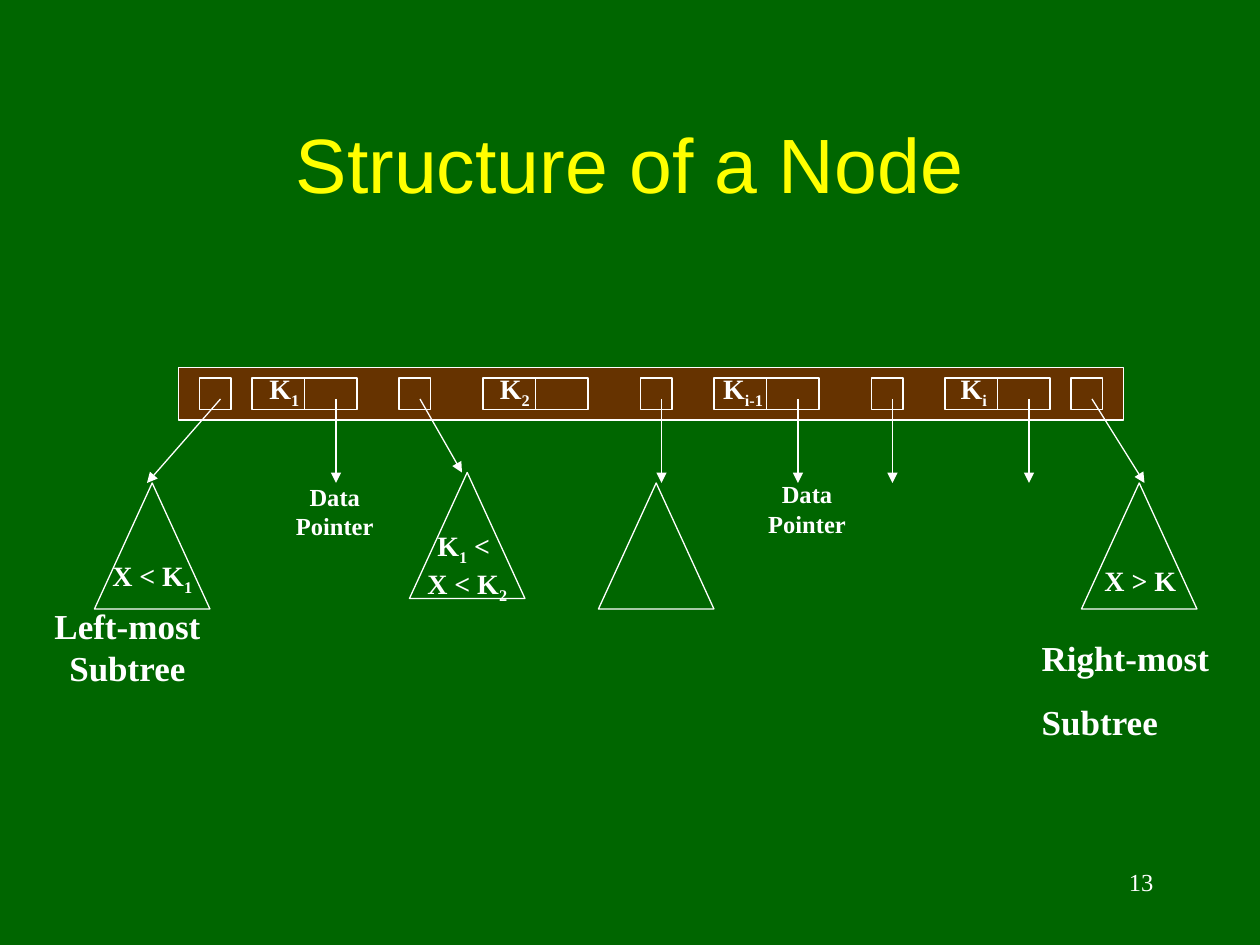
from dataclasses import dataclass

from lxml import etree
from pptx import Presentation
from pptx.dml.color import RGBColor
from pptx.enum.shapes import MSO_CONNECTOR, MSO_SHAPE
from pptx.enum.text import MSO_ANCHOR, MSO_AUTO_SIZE, PP_ALIGN
from pptx.oxml.ns import qn
from pptx.util import Cm, Pt

RECTANGLE = MSO_SHAPE.RECTANGLE
TRIANGLE = MSO_SHAPE.FLOWCHART_EXTRACT
STRAIGHT = MSO_CONNECTOR.STRAIGHT
TOP, MIDDLE = MSO_ANCHOR.TOP, MSO_ANCHOR.MIDDLE
LEFT, CENTER, RIGHT = PP_ALIGN.LEFT, PP_ALIGN.CENTER, PP_ALIGN.RIGHT
FIT_SHAPE = MSO_AUTO_SIZE.SHAPE_TO_FIT_TEXT


@dataclass(frozen=True)
class Theme:
    """Colours, fonts and sizes of the slide."""
    background: RGBColor = RGBColor(0x00, 0x66, 0x00)
    node: RGBColor = RGBColor(0x66, 0x33, 0x00)
    title: RGBColor = RGBColor(0xFF, 0xFF, 0x00)
    ink: RGBColor = RGBColor(0xFF, 0xFF, 0xFF)
    title_font: str = "Arial"
    body_font: str = "Times New Roman"
    title_size: int = 44
    subtree_size: int = 20
    key_size: int = 16
    small_size: int = 14
    line: float = 0.74


THEME = Theme()

# The diagram sits on a grid of 12 steps to the inch.
CELL_LEFTS = range(24, 91, 22)
CELL_TOP, CELL_WIDTH, CELL_HEIGHT = 36, 10, 3
POINTER_LEFTS = (19, 38, 61, 83, 102)
ARROW_TOP = 38
ARROWS = ((21, 14, 46), (32, 32, 46), (40, 44, 45), (63, 63, 46),
          (76, 76, 46), (85, 85, 46), (98, 98, 46), (104, 109, 46))
# Left, top and lines of text; underscores enclose a subscript.
SUBTREES = ((9, 46, ["X < K_1_"]), (39, 45, ["K_1_ < ", "X < K_2_"]),
            (57, 46, []), (103, 46, []))
# Left and width in centimetres.
KEYS = (("K_1_", 5.13, 1.2), ("K_2_", 9.78, 1.2),
        ("K_i-1_", 14.28, 1.4), ("K_i_", 19.07, 1.12))
DATA_POINTERS = ((5.65, 9.58), (15.17, 9.53))


def grid(steps):
    """Return the length of a number of grid steps."""
    return Cm(steps * 2.54 / 12)


def write(frame, lines, size, color=THEME.ink, font=THEME.body_font, bold=True,
          align=CENTER, anchor=MIDDLE, wrap=False, before=0):
    """Fill a text frame, one paragraph for each line."""
    frame.word_wrap = wrap
    frame.vertical_anchor = anchor
    for index, line in enumerate(lines):
        para = frame.add_paragraph() if index else frame.paragraphs[0]
        para.alignment = align
        para.space_before = Pt(before)
        para.font.size = Pt(size)
        para.font.name = font
        para.font.bold = bold
        para.font.color.rgb = color
        for part, words in enumerate(line.split("_")):
            if words:
                span = para.add_run()
                span.text = words
                if part % 2:
                    span.font._element.set("baseline", "-25000")


def add_label(page, left, top, width, height, lines, size, fit=True, **style):
    """Add a text box placed in centimetres."""
    box = page.shapes.add_textbox(Cm(left), Cm(top), Cm(width), Cm(height))
    write(box.text_frame, lines, size, **style)
    if fit:
        box.text_frame.auto_size = FIT_SHAPE


def add_outline(page, kind, left, top, width, height, fill=None):
    """Add an outlined shape on the grid, with an optional fill."""
    shape = page.shapes.add_shape(kind, grid(left), grid(top),
                                  grid(width), grid(height))
    shape.shadow.inherit = False
    if fill is None:
        shape.fill.background()
    else:
        shape.fill.solid()
        shape.fill.fore_color.rgb = fill
    shape.line.color.rgb = THEME.ink
    shape.line.width = Pt(THEME.line)
    return shape


def add_line(page, start_x, start_y, end_x, end_y, arrow=False):
    """Add a straight line on the grid, with an optional arrowhead."""
    line = page.shapes.add_connector(STRAIGHT, grid(start_x), grid(start_y),
                                     grid(end_x), grid(end_y))
    line.line.color.rgb = THEME.ink
    line.line.width = Pt(THEME.line)
    if arrow:
        etree.SubElement(line.line._get_or_add_ln(), qn("a:tailEnd"), type="triangle")
    etree.SubElement(line._element.spPr, qn("a:effectLst"))


def add_node(page):
    """Draw the node with its key cells and tree pointers."""
    add_outline(page, RECTANGLE, 17, 35, 90, 5, THEME.node)
    for left in CELL_LEFTS:
        add_outline(page, RECTANGLE, left, CELL_TOP, CELL_WIDTH, CELL_HEIGHT)
        middle = left + CELL_WIDTH / 2
        add_line(page, middle, CELL_TOP, middle, CELL_TOP + CELL_HEIGHT)
    for left in POINTER_LEFTS:
        add_outline(page, RECTANGLE, left, CELL_TOP, CELL_HEIGHT, CELL_HEIGHT)
    for text, left, width in KEYS:
        add_label(page, left, 7.35, width, 1.04, [text], THEME.key_size)


def add_subtrees(page):
    """Draw the arrows and the subtrees they lead to."""
    for start_x, end_x, end_y in ARROWS:
        add_line(page, start_x, ARROW_TOP, end_x, end_y, arrow=True)
    for left, top, lines in SUBTREES:
        triangle = add_outline(page, TRIANGLE, left, top, 11, 12)
        if lines:
            write(triangle.text_frame, lines, THEME.key_size)


def add_captions(page):
    """Add the captions below the node."""
    for left, top in DATA_POINTERS:
        add_label(page, left, top, 2.2, 1.45, ["Data", "Pointer"], THEME.small_size)
    add_label(page, 0.77, 12.05, 3.6, 1.96, ["Left-most", "Subtree"],
              THEME.subtree_size)
    add_label(page, 21.96, 11.22, 2.2, 0.94, ["X > K "], THEME.key_size)
    add_label(page, 20.75, 12.7, 4.01, 2.39, ["Right-most", "Subtree"],
              THEME.subtree_size, align=LEFT, anchor=TOP, wrap=True, before=12.5)


def main():
    """Build the slide and save it."""
    deck = Presentation()
    deck.slide_width, deck.slide_height = Cm(25.4), Cm(19.05)
    page = deck.slides.add_slide(deck.slide_layouts[6])
    page.background.fill.solid()
    page.background.fill.fore_color.rgb = THEME.background
    add_label(page, 1.9, 1.7, 21.6, 3.18, ["Structure of a Node"],
              THEME.title_size, fit=False, color=THEME.title,
              font=THEME.title_font, bold=False, wrap=True)
    add_node(page)
    add_subtrees(page)
    add_captions(page)
    add_label(page, 18.2, 17.36, 5.3, 1.27, ["13"], THEME.small_size, fit=False,
              bold=False, align=RIGHT, anchor=TOP, wrap=True)
    deck.save("out.pptx")


if __name__ == "__main__":
    main()
